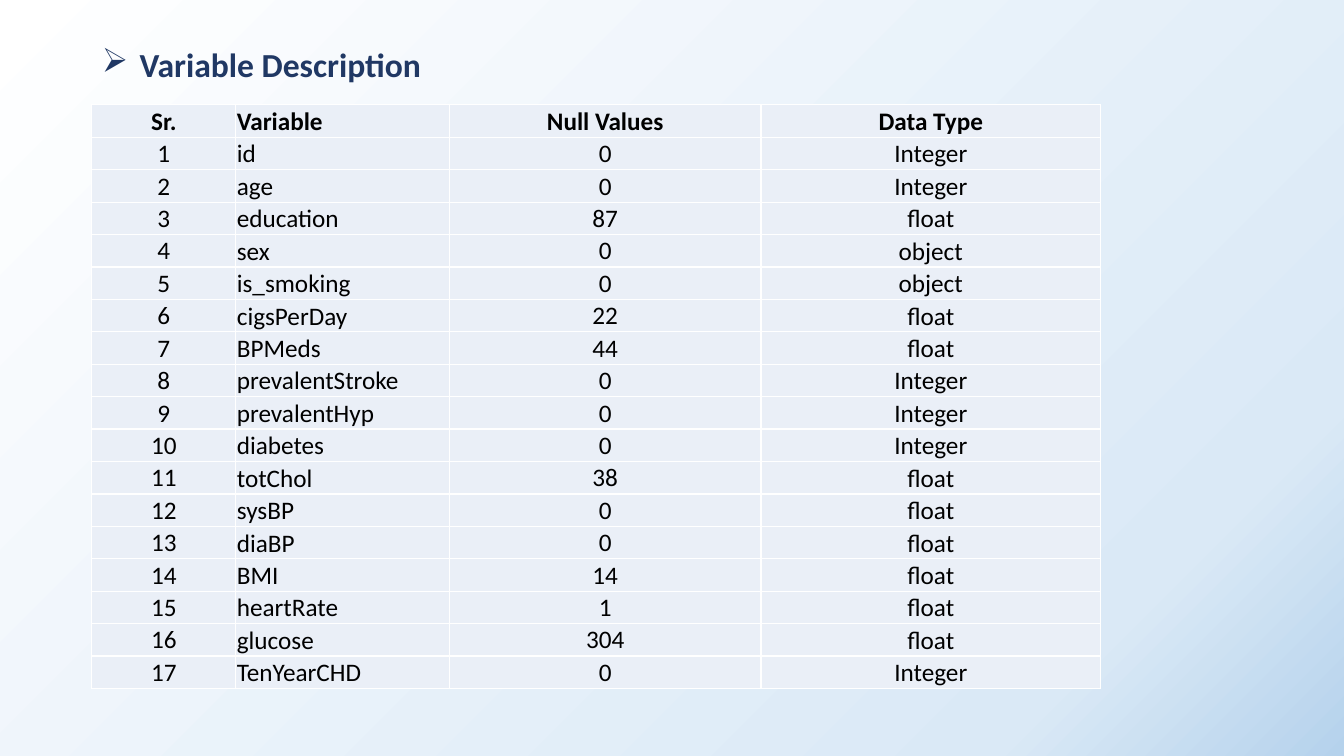
from pptx import Presentation
from pptx.dml.color import RGBColor
from pptx.enum.text import MSO_ANCHOR, PP_ALIGN
from pptx.oxml import parse_xml
from pptx.oxml.ns import nsdecls, qn
from pptx.util import Pt

LEFT, CENTER = PP_ALIGN.LEFT, PP_ALIGN.CENTER
MIDDLE, BOTTOM = MSO_ANCHOR.MIDDLE, MSO_ANCHOR.BOTTOM
FONT = "Calibri"
TITLE_BOX = (65.5, 20.9, 675.4, 54)
TABLE_BOX = (65.5, 74.9, 720.7, 416.9)
COLUMN_WIDTHS = (103, 152.6, 222.5, 242.6)
COLUMN_ALIGNS = (CENTER, LEFT, CENTER, CENTER)
HEADER_ANCHORS = (MIDDLE, BOTTOM, BOTTOM, BOTTOM)
BODY_ANCHORS = (MIDDLE, BOTTOM, MIDDLE, BOTTOM)
HEADER = ("Sr.", "Variable", "Null Values", "Data Type")
VARIABLES = (
    ("id", 0, "Integer"),
    ("age", 0, "Integer"),
    ("education", 87, "float"),
    ("sex", 0, "object"),
    ("is_smoking", 0, "object"),
    ("cigsPerDay", 22, "float"),
    ("BPMeds", 44, "float"),
    ("prevalentStroke", 0, "Integer"),
    ("prevalentHyp", 0, "Integer"),
    ("diabetes", 0, "Integer"),
    ("totChol", 38, "float"),
    ("sysBP", 0, "float"),
    ("diaBP", 0, "float"),
    ("BMI", 14, "float"),
    ("heartRate", 1, "float"),
    ("glucose", 304, "float"),
    ("TenYearCHD", 0, "Integer"),
)


def color(value):
    """Turn a hex string into a colour."""
    return RGBColor.from_string(value)


def format_text(para, size, ink, bold, align):
    """Format a paragraph and its runs."""
    para.alignment = align
    for span in para.runs:
        span.font.name = FONT
        span.font.size = Pt(size)
        span.font.bold = bold
        span.font.color.rgb = color(ink)


def paint_background(page, stops):
    """Fill the background with a circular gradient from the bottom right."""
    page.background.fill.gradient()
    default = page.element.find(".//" + qn("a:gradFill"))
    marks = "".join(
        f'<a:gs pos="{percent * 1000}"><a:srgbClr val="{ink}"/></a:gs>'
        for percent, ink in stops
    )
    gradient = parse_xml(
        f'<a:gradFill {nsdecls("a")} rotWithShape="1"><a:gsLst>{marks}</a:gsLst>'
        '<a:path path="circle"><a:fillToRect l="100000" t="100000"/></a:path>'
        "</a:gradFill>"
    )
    default.getparent().replace(default, gradient)


def place_title(page, box, text):
    """Place the bulleted title in its box."""
    title = page.shapes.title
    title.left, title.top, title.width, title.height = map(Pt, box)
    frame = title.text_frame
    frame.text = text
    frame.vertical_anchor = MIDDLE
    para = frame.paragraphs[0]
    format_text(para, 24, "203864", True, LEFT)
    para.line_spacing = 0.9
    properties = para._p.get_or_add_pPr()
    properties.set("marL", str(Pt(27)))
    properties.set("indent", str(Pt(-27)))
    properties.append(parse_xml(f'<a:buChar {nsdecls("a")} char="➢"/>'))


def add_borders(cell, ink, width):
    """Draw a line on all four sides of a cell."""
    properties = cell._tc.get_or_add_tcPr()
    for side in ("lnL", "lnR", "lnT", "lnB"):
        properties.append(parse_xml(
            f'<a:{side} {nsdecls("a")} w="{Pt(width)}"><a:solidFill>'
            f'<a:srgbClr val="{ink}"/></a:solidFill></a:{side}>'
        ))


def fill_cell(cell, text, bold, align, anchor):
    """Write and format one table cell."""
    cell.text = text
    cell.vertical_anchor = anchor
    cell.margin_left = cell.margin_right = cell.margin_top = Pt(0.72)
    cell.margin_bottom = Pt(0)
    format_text(cell.text_frame.paragraphs[0], 18, "000000", bold, align)
    add_borders(cell, "FFFFFF", 1)
    cell.fill.solid()
    cell.fill.fore_color.rgb = color("EAEFF7")


def place_table(page, box, header, variables):
    """Place the numbered table of variables in its box."""
    rows = [header] + [(n, *entry) for n, entry in enumerate(variables, 1)]
    table = page.shapes.add_table(len(rows), len(header), *map(Pt, box)).table
    table.first_row = table.horz_banding = False
    for column, width in zip(table.columns, COLUMN_WIDTHS):
        column.width = Pt(width)
    for r, values in enumerate(rows):
        table.rows[r].height = Pt(box[3] / len(rows))
        anchors = BODY_ANCHORS if r else HEADER_ANCHORS
        for c, value in enumerate(values):
            fill_cell(table.cell(r, c), str(value), r == 0, COLUMN_ALIGNS[c], anchors[c])


def build_variable_page(deck):
    """Add the slide describing the variables."""
    page = deck.slides.add_slide(deck.slide_layouts[5])
    paint_background(page, ((0, "B5D2EC"), (17, "DAE9F6"), (100, "FFFFFF")))
    place_title(page, TITLE_BOX, "Variable Description")
    place_table(page, TABLE_BOX, HEADER, VARIABLES)


deck = Presentation()
deck.slide_width, deck.slide_height = Pt(960), Pt(540)
build_variable_page(deck)
deck.save("out.pptx")
